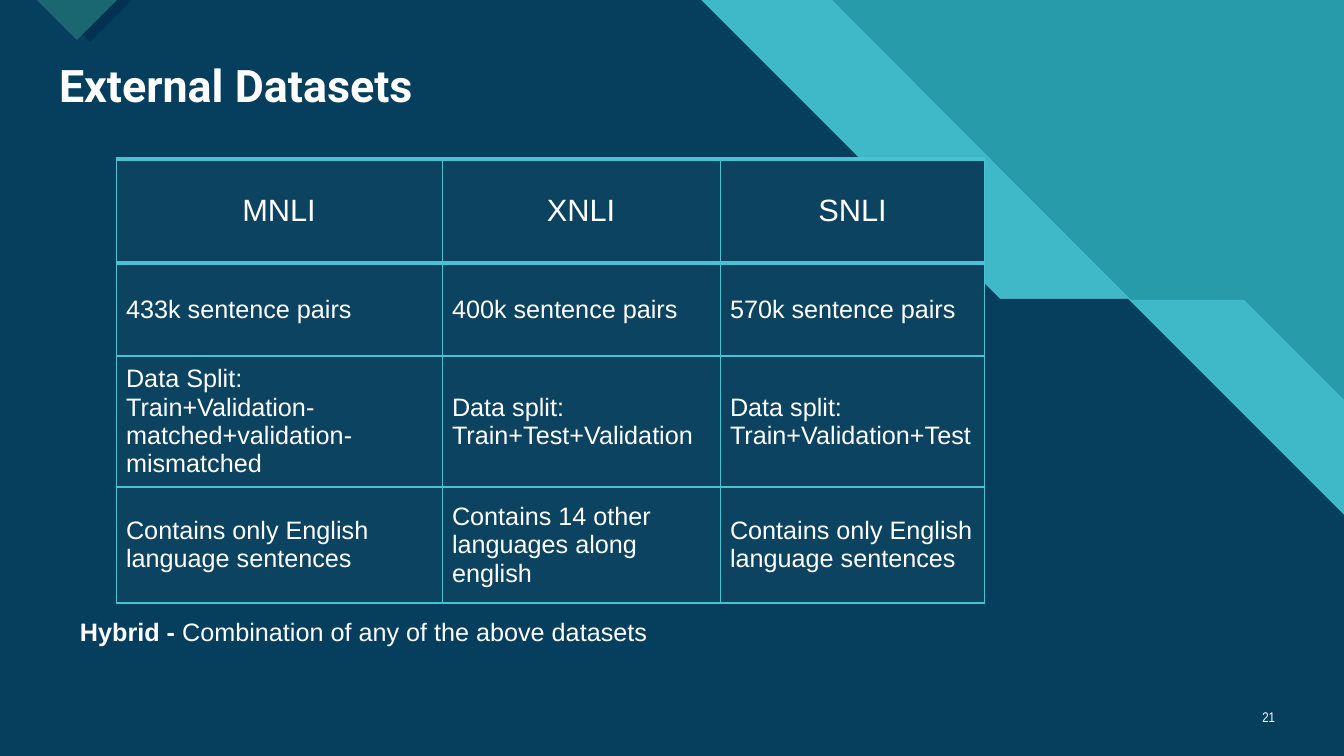
from lxml import etree
from pptx import Presentation
from pptx import util as u
from pptx.dml.color import RGBColor
from pptx.enum import text
from pptx.oxml import ns

WIDTH, HEIGHT = 1344, 756
SCALE = 12192000 / WIDTH
TEAL, BAND, NAVY, SHADE, GREEN = "289BAA", "3FB9C8", "063F5E", "003252", "1B6771"
CELL, EDGE, WHITE = "0C4360", "47C3D3", "FFFFFF"

COLUMNS = [326, 278, 265]
ROWS = [104, 93, 131, 116]
DATASETS = [
    ["MNLI", "XNLI", "SNLI"],
    ["433k sentence pairs", "400k sentence pairs", "570k sentence pairs"],
    ["Data Split: Train+Validation-matched+validation-mismatched",
     "Data split: Train+Test+Validation", "Data split: Train+Validation+Test"],
    ["Contains only English language sentences",
     "Contains 14 other languages along english",
     "Contains only English language sentences"],
]


def px(length):
    """Turn px into EMU."""
    return u.Emu(round(length * SCALE))


def rgb(value):
    """Turn a hex string into a colour."""
    return RGBColor.from_string(value)


def apply(target, formats):
    """Set each named attribute of the target."""
    for name, value in formats.items():
        setattr(target, name, value)


def write(frame, spans, size, font="Arial", **formats):
    """Write (wording, bold) spans as one white paragraph."""
    para = frame.paragraphs[0]
    apply(para, formats)
    for wording, bold in spans:
        span = para.add_run()
        span.text = wording
        apply(span.font, {"size": u.Pt(size), "name": font, "bold": bold})
        span.font.color.rgb = rgb(WHITE)


def add_label(page, box, spans, size, inset=5, anchor=text.MSO_ANCHOR.TOP, **formats):
    """Add a wrapping text box with the given spans."""
    frame = page.shapes.add_textbox(*map(px, box)).text_frame
    apply(frame, {"word_wrap": True, "vertical_anchor": anchor,
                  "margin_left": px(10), "margin_right": px(10),
                  "margin_top": px(inset), "margin_bottom": px(inset)})
    write(frame, spans, size, **formats)


def add_outline(page, box, points, color):
    """Draw a filled polygon placed from the corner of the box."""
    corners = [(box[0] + x, box[1] + y) for x, y in points]
    builder = page.shapes.build_freeform(*corners[0], scale=SCALE)
    builder.add_line_segments(corners[1:], close=True)
    shape = builder.convert_to_shape()
    shape.shadow.inherit = False
    shape.fill.solid()
    shape.fill.fore_color.rgb = rgb(color)
    shape.line.fill.background()


def add_backdrop(page, box):
    """Draw the teal ground, the stepped bands and the corner tabs."""
    page.background.fill.solid()
    page.background.fill.fore_color.rgb = rgb(TEAL)
    width, height = box[2:]
    bands = [(832, 1131, 1244, 300, BAND), (701, 1000, 1128, 299, NAVY)]
    for top, step, ledge, depth, color in bands:
        points = [(0, 0), (top, 0), (step, depth), (ledge, depth),
                  (width, depth + width - ledge), (width, height), (0, height)]
        add_outline(page, box, points, color)
    for left, half, color in [(48, 42, SHADE), (37, 40, GREEN)]:
        add_outline(page, box, [(left, 0), (left + half, half), (left + 2 * half, 0)], color)


def set_borders(cell, row):
    """Give a cell thin sides and rules that are heavy around the header."""
    top, bottom = (3 if edge < 2 else 1 for edge in (row, row + 1))
    sides = {"a:lnL": 0.75, "a:lnR": 0.75, "a:lnT": top, "a:lnB": bottom}
    properties = cell._tc.get_or_add_tcPr()
    for tag, weight in sides.items():
        line = etree.SubElement(properties, ns.qn(tag), w=str(u.Pt(weight)))
        fill = etree.SubElement(line, ns.qn("a:solidFill"))
        etree.SubElement(fill, ns.qn("a:srgbClr"), val=EDGE)


def add_datasets(page, box):
    """Add the table that compares the datasets."""
    table = page.shapes.add_table(len(ROWS), len(COLUMNS), *map(px, box)).table
    apply(table, {"first_row": False, "horz_banding": False})
    for column, width in zip(table.columns, COLUMNS):
        column.width = px(width)
    for index, height in enumerate(ROWS):
        table.rows[index].height = px(height)
        size, align = (18, text.PP_ALIGN.LEFT) if index else (22, text.PP_ALIGN.CENTER)
        for cell, wording in zip(table.rows[index].cells, DATASETS[index]):
            set_borders(cell, index)
            cell.fill.solid()
            cell.fill.fore_color.rgb = rgb(CELL)
            cell.vertical_anchor = text.MSO_ANCHOR.MIDDLE
            write(cell.text_frame, [(wording, False)], size, alignment=align)


def build_page(deck):
    """Lay out the whole slide."""
    page = deck.slides.add_slide(deck.slide_layouts[6])
    add_backdrop(page, (0, 0, WIDTH, HEIGHT))
    add_label(page, (49, 59, 1236, 59), [("External Datasets", True)], 32,
              font="Roboto", line_spacing=0.9)
    add_label(page, (1241, 697, 44, 40), [("21", False)], 10, font="Arial Narrow",
              anchor=text.MSO_ANCHOR.MIDDLE, alignment=text.PP_ALIGN.RIGHT)
    add_datasets(page, (116, 159, sum(COLUMNS), sum(ROWS)))
    add_label(page, (70, 606, 748, 50),
              [("Hybrid - ", True), ("Combination of any of the above datasets", False)],
              18, inset=10)


def main():
    """Build and save the deck."""
    deck = Presentation()
    apply(deck, {"slide_width": px(WIDTH), "slide_height": px(HEIGHT)})
    build_page(deck)
    deck.save("out.pptx")


if __name__ == "__main__":
    main()
